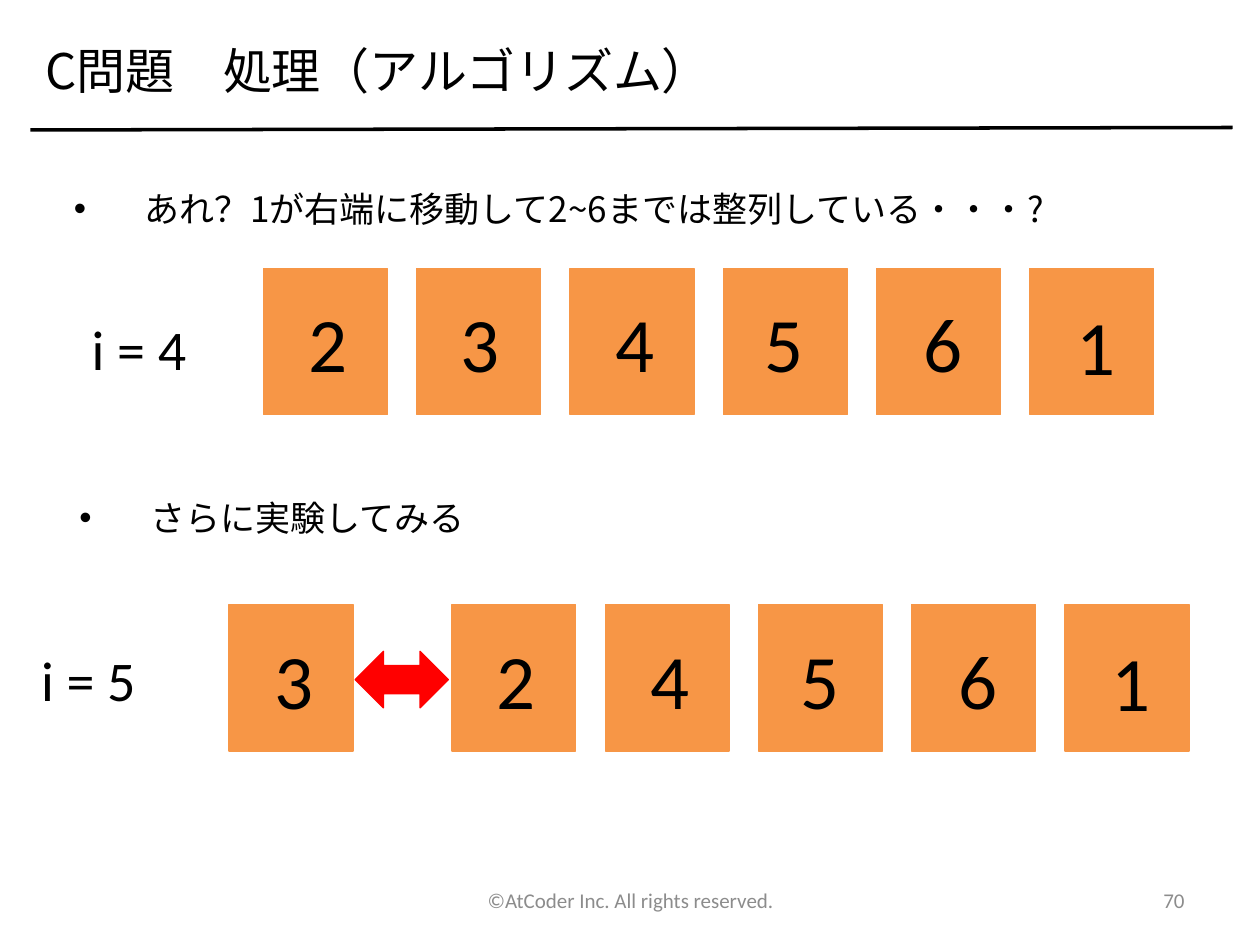
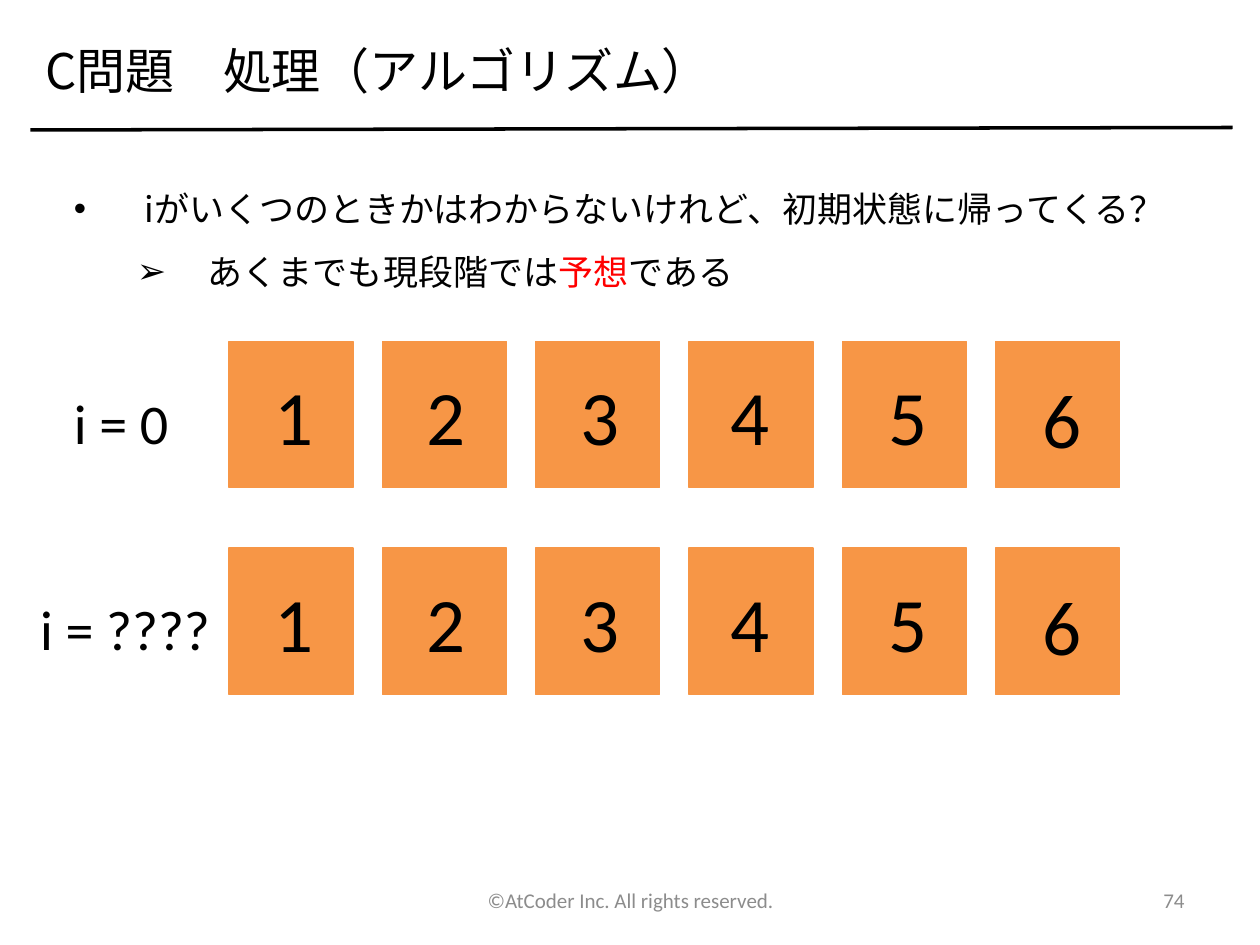
from lxml.etree import SubElement
from pptx import Presentation
from pptx.dml.color import RGBColor
from pptx.enum.shapes import MSO_CONNECTOR, MSO_SHAPE
from pptx.enum.text import MSO_ANCHOR, MSO_AUTO_SIZE, PP_ALIGN
from pptx.oxml.ns import qn
from pptx.util import Cm, Pt

BLACK = RGBColor(0x00, 0x00, 0x00)
GREY = RGBColor(0x8C, 0x8C, 0x8C)
ORANGE = RGBColor(0xF7, 0x96, 0x46)
RED = RGBColor(0xFF, 0x00, 0x00)

LATIN = "Calibri"
JAPANESE = "Noto Sans CJK JP"
TITLE = {"name": JAPANESE, "size": Pt(28), "color": BLACK}
BODY = {"name": JAPANESE, "size": Pt(20), "color": BLACK}
STEP = {"name": LATIN, "size": Pt(32), "color": BLACK}
NUMBER = {"name": LATIN, "size": Pt(44), "color": BLACK}
FOOTER = {"name": LATIN, "size": Pt(12), "color": GREY}

CARD_W, CARD_H, CARD_PITCH = 2.5, 2.95, 3.09
NUMBER_INSETS = [(0.67, 0.43), (0.64, 0.43), (0.66, 0.43),
                 (0.59, 0.43), (0.69, 0.43), (0.69, 0.48)]
SWAP_GAP = 1.4
BULLETS = {1: ("•", 1.43), 2: ("➢", 2.7)}
HANGING = 1.43


def add_run(p, text, style):
    r = p.add_run()
    r.text = text
    for key, value in style.items():
        if key == "color":
            r.font.color.rgb = value
        else:
            setattr(r.font, key, value)
    SubElement(r.font._element, qn("a:ea"), typeface=style["name"])


def add_box(shapes, left, top, width, height, **frame):
    """Add an empty text box and return its text frame."""
    tf = shapes.add_textbox(Cm(left), Cm(top), Cm(width), Cm(height)).text_frame
    for key, value in frame.items():
        setattr(tf, key, value)
    return tf


def add_label(shapes, text, left, top, width, height, style):
    """Add a single line that sizes its box."""
    tf = add_box(shapes, left, top, width, height, word_wrap=False,
                 auto_size=MSO_AUTO_SIZE.SHAPE_TO_FIT_TEXT)
    add_run(tf.paragraphs[0], text, style)


def add_footer(s, text, left, width, alignment):
    tf = add_box(s.shapes, left, 17.65, width, 1.01, word_wrap=True,
                 vertical_anchor=MSO_ANCHOR.MIDDLE)
    p = tf.paragraphs[0]
    p.alignment = alignment
    add_run(p, text, FOOTER)


def add_solid(shapes, kind, left, top, width, height, color):
    sp = shapes.add_shape(kind, Cm(left), Cm(top), Cm(width), Cm(height))
    sp.shadow.inherit = False
    sp.fill.solid()
    sp.fill.fore_color.rgb = color
    sp.line.color.rgb = color
    sp.line.width = Pt(0.75)


def add_bullets(s, left, top, height, items):
    """Each item is a level and its list of (text, colour) pieces."""
    tf = add_box(s.shapes, left, top, 22.99, height, word_wrap=True,
                 auto_size=MSO_AUTO_SIZE.SHAPE_TO_FIT_TEXT)
    for i, (level, pieces) in enumerate(items):
        p = tf.add_paragraph() if i else tf.paragraphs[0]
        p.level = level
        p.line_spacing = 1.5
        char, margin = BULLETS[level]
        pPr = p._p.get_or_add_pPr()
        pPr.set("marL", str(Cm(margin)))
        pPr.set("indent", str(-Cm(HANGING)))
        SubElement(pPr, qn("a:buFont"), typeface="Arial")
        SubElement(pPr, qn("a:buChar"), char=char)
        for text, color in pieces:
            add_run(p, text, {**BODY, "color": color})


def add_cards(s, numbers, left, top, first_gap=0):
    """Add a row of numbered cards; first_gap widens the gap after the first."""
    lefts = [left + i * CARD_PITCH + (first_gap if i else 0)
             for i in range(len(numbers))]
    row = s.shapes.add_group_shape().shapes
    for x in lefts:
        add_solid(row, MSO_SHAPE.RECTANGLE, x, top, CARD_W, CARD_H, ORANGE)
    for number, x, (dx, dy) in zip(numbers, lefts, NUMBER_INSETS):
        add_label(row, number, x + dx, top + dy, 1.3, 2.13, NUMBER)


def add_step(s, text, left, top, width=2.44):
    add_label(s.shapes, text, left, top, width, 1.63, STEP)


def add_slide(prs, number):
    """Add a slide with the shared title, rule and footers."""
    s = prs.slides.add_slide(prs.slide_layouts[6])
    add_footer(s, "©AtCoder Inc. All rights reserved.", 8.69, 8.05, PP_ALIGN.CENTER)
    add_footer(s, number, 18.21, 5.92, PP_ALIGN.RIGHT)
    rule = s.shapes.add_connector(MSO_CONNECTOR.STRAIGHT,
                                  Cm(0.61), Cm(2.62), Cm(24.85), Cm(2.57))
    rule.line.color.rgb = BLACK
    rule.line.width = Pt(2)
    SubElement(rule._element.spPr, qn("a:effectLst"))
    add_label(s.shapes, "C問題　処理（アルゴリズム）", 0.66, 0.69, 14.17, 1.45, TITLE)
    return s


def add_experiment_slide(prs):
    s = add_slide(prs, "70")
    add_bullets(s, 1.24, 3.23, 1.47, [
        (1, [("あれ？1が右端に移動して2~6までは整列している・・・?", BLACK)])])
    add_cards(s, "234561", 5.31, 5.41)
    add_step(s, "i = 4", 1.6, 6.22)
    add_bullets(s, 1.35, 9.47, 1.47, [(1, [("さらに実験してみる", BLACK)])])
    add_cards(s, "324561", 4.62, 12.19, SWAP_GAP)
    add_step(s, "i = 5", 0.58, 12.88)
    add_solid(s.shapes, MSO_SHAPE.LEFT_RIGHT_ARROW, 7.16, 13.13, 1.88, 1.14, RED)


def add_conjecture_slide(prs):
    s = add_slide(prs, "74")
    add_bullets(s, 1.24, 3.23, 2.74, [
        (1, [("iがいくつのときかはわからないけれど、初期状態に帰ってくる？", BLACK)]),
        (2, [("あくまでも現段階では", BLACK), ("予想", RED), ("である", BLACK)])])
    add_cards(s, "123456", 4.62, 11.05)
    add_step(s, "i = ????", 0.56, 11.86, 3.96)
    add_cards(s, "123456", 4.62, 6.88)
    add_step(s, "i = 0", 1.24, 7.7)


def main():
    prs = Presentation()
    prs.slide_width, prs.slide_height = Cm(25.4), Cm(19.05)
    add_experiment_slide(prs)
    add_conjecture_slide(prs)
    prs.save("out.pptx")


if __name__ == "__main__":
    main()
